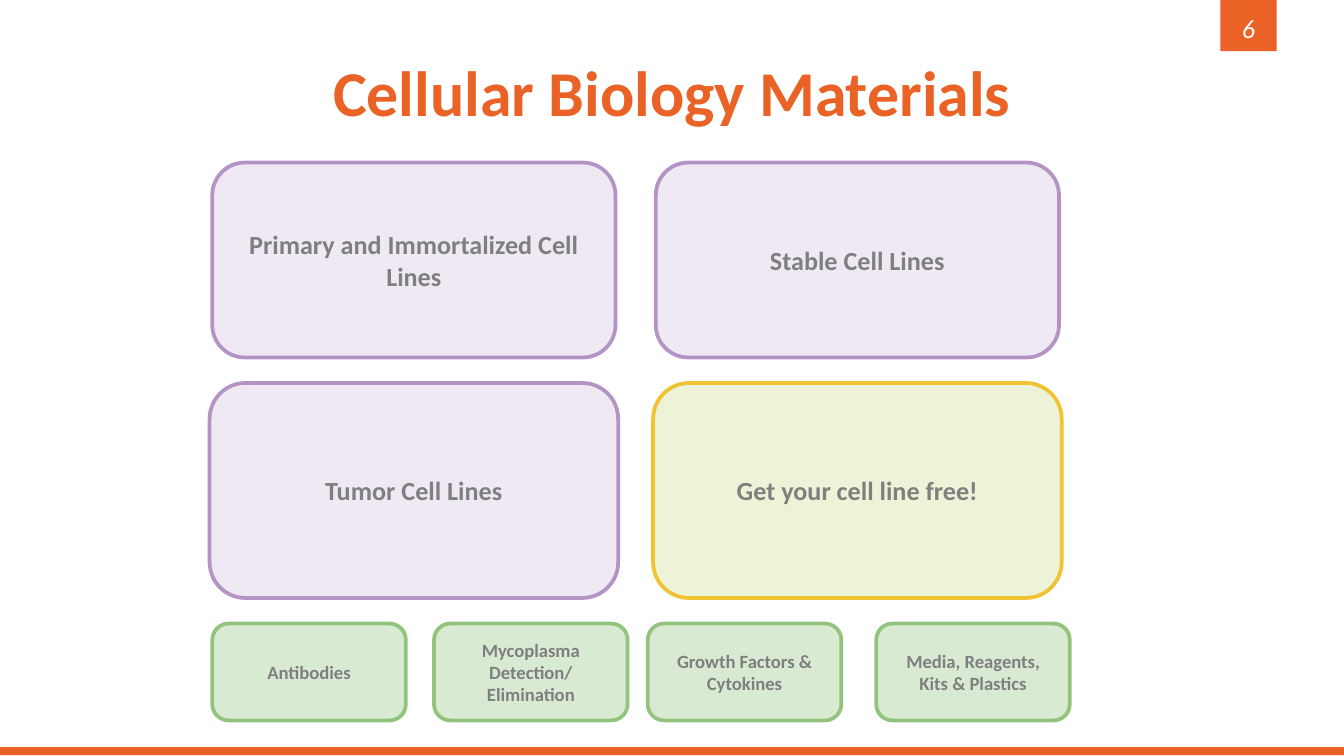
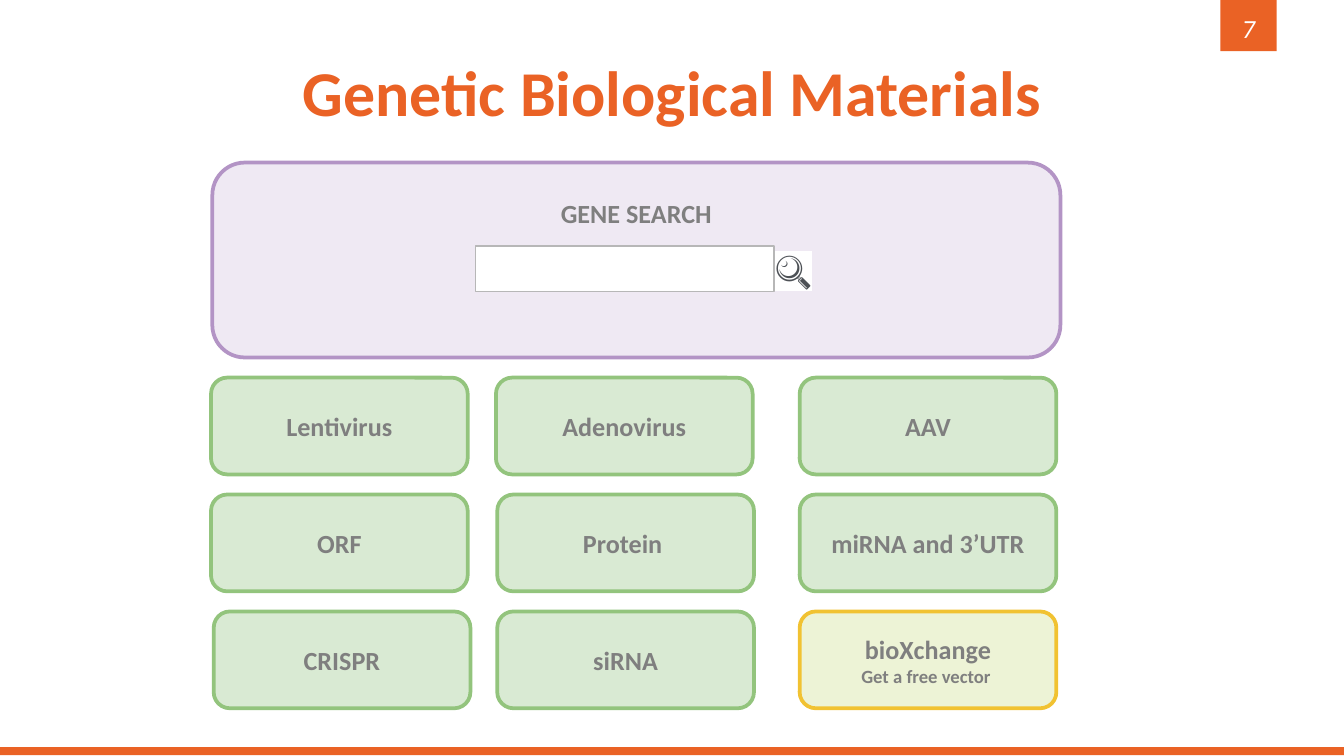
from lxml.etree import SubElement
from pptx import Presentation
from pptx.dml.color import RGBColor
from pptx.enum.shapes import MSO_SHAPE as SHAPE
from pptx.enum.text import MSO_ANCHOR as ANCHOR, MSO_AUTO_SIZE as AUTO, PP_ALIGN as ALIGN
from pptx.oxml.ns import qn
from pptx.util import Pt

PX = 9144  # 100 px to the inch
COLORS = {
    "orange": "EA6225", "white": "FFFFFF", "text": "7F7F7F",
    "search_line": "B7B7B7", "icon": "4D5156",
    "purple": "EFE9F3", "purple_line": "B394C5",
    "green": "D9EAD3", "green_line": "93C47D",
    "yellow": "EDF3D6", "yellow_line": "F1C232",
}
RGB = {name: RGBColor.from_string(value) for name, value in COLORS.items()}


def style_text(tf, text, size, color, bold=False, italic=False, font="Calibri", align=ALIGN.CENTER):
    tf.text = text
    tf.word_wrap = True
    for p in tf.paragraphs:
        p.alignment = align
        for r in p.runs:
            r.font.name, r.font.size = font, Pt(size)
            r.font.bold, r.font.italic = bold, italic
            r.font.color.rgb = RGB[color]


def add_box(s, box, fill, line=None, width=2, kind=SHAPE.ROUNDED_RECTANGLE, text="", size=14):
    sp = s.shapes.add_shape(kind, *(n * PX for n in box))
    sp.shadow.inherit = False
    sp.fill.solid()
    sp.fill.fore_color.rgb = RGB[fill]
    if line:
        sp.line.color.rgb = RGB[line]
        sp.line.width = Pt(width)
    else:
        sp.line.fill.background()
    if text:
        style_text(sp.text_frame, text, size, "text", bold=True)
        sp.text_frame.vertical_anchor = ANCHOR.MIDDLE
    return sp


prs = Presentation()
prs.slide_width = 1000 * PX
prs.slide_height = prs.slide_width * 9 // 16

# Shared frame: bottom band, page number tab and title
slides = []
for number, title in [(6, "Cellular Biology Materials"), (7, "Genetic Biological Materials")]:
    s = prs.slides.add_slide(prs.slide_layouts[5])
    add_box(s, (0, 556, 1000, 6), "orange", kind=SHAPE.RECTANGLE)
    add_box(s, (908, 0, 42, 38), "orange", kind=SHAPE.RECTANGLE)
    page = s.shapes.add_textbox(908 * PX, 6 * PX, 42 * PX, 30 * PX)
    style_text(page.text_frame, str(number), 14, "white", italic=True)
    page.text_frame.vertical_anchor = ANCHOR.MIDDLE

    sp = s.shapes.title
    sp.left, sp.top, sp.width, sp.height = 50 * PX, 38 * PX, 900 * PX, 60 * PX
    style_text(sp.text_frame, title, 34.2, "orange", bold=True)
    sp.text_frame.vertical_anchor = ANCHOR.MIDDLE
    sp.text_frame.auto_size = AUTO.NONE
    slides.append(s)
cells, genes = slides

# Cellular materials: four large cards above four small ones
cell_cards = [
    ((158, 121, 300, 145), "purple", "Primary and Immortalized Cell Lines"),
    ((488, 121, 300, 145), "purple", "Stable Cell Lines"),
    ((156, 285, 304, 160), "purple", "Tumor Cell Lines"),
    ((486, 285, 304, 160), "yellow", "Get your cell line free!"),
]
for box, color, text in cell_cards:
    add_box(cells, box, color, color + "_line", text=text)

supplies = [
    (158, "Antibodies"),
    (323, "Mycoplasma Detection/ Elimination"),
    (482, "Growth Factors & Cytokines"),
    (652, "Media, Reagents, Kits & Plastics"),
]
for left, text in supplies:
    add_box(cells, (left, 464, 144, 72), "green", "green_line", text=text, size=10)

# Genetic materials: search panel above a grid of products
panel = add_box(genes, (158, 121, 631, 145), "purple", "purple_line", text="GENE SEARCH")
panel.text_frame.margin_bottom = 75 * PX  # lifts the heading above the search field
add_box(genes, (354, 183, 222, 34), "white", "search_line", 0.75, SHAPE.RECTANGLE)

icon = genes.shapes.add_textbox(567 * PX, 174 * PX, 76 * PX, 53 * PX)
tf = icon.text_frame
tf.margin_left = tf.margin_right = tf.margin_top = tf.margin_bottom = 10 * PX
style_text(tf, "🔍", 19.5, "icon", font="Arial", align=ALIGN.LEFT)
rPr = tf.paragraphs[0].runs[0].font._element
highlight = SubElement(rPr, qn("a:highlight"))
SubElement(highlight, qn("a:srgbClr"), val=COLORS["white"])
rPr.find(qn("a:solidFill")).addnext(highlight)

product_rows = [
    [(157, "Lentivirus"), (369, "Adenovirus"), (595, "AAV")],
    [(157, "ORF"), (370, "Protein "), (595, "miRNA and 3’UTR")],
    [(159, "CRISPR"), (370, "siRNA"), (595, "bioXchange\nGet a free vector ")],
]
for row, products in enumerate(product_rows):
    for left, text in products:
        color = "yellow" if "free" in text else "green"
        sp = add_box(genes, (left, 281 + 87 * row, 191, 72), color, color + "_line", text=text)
        for p in sp.text_frame.paragraphs[1:]:
            p.runs[0].font.size = Pt(10)

prs.save("out.pptx")
